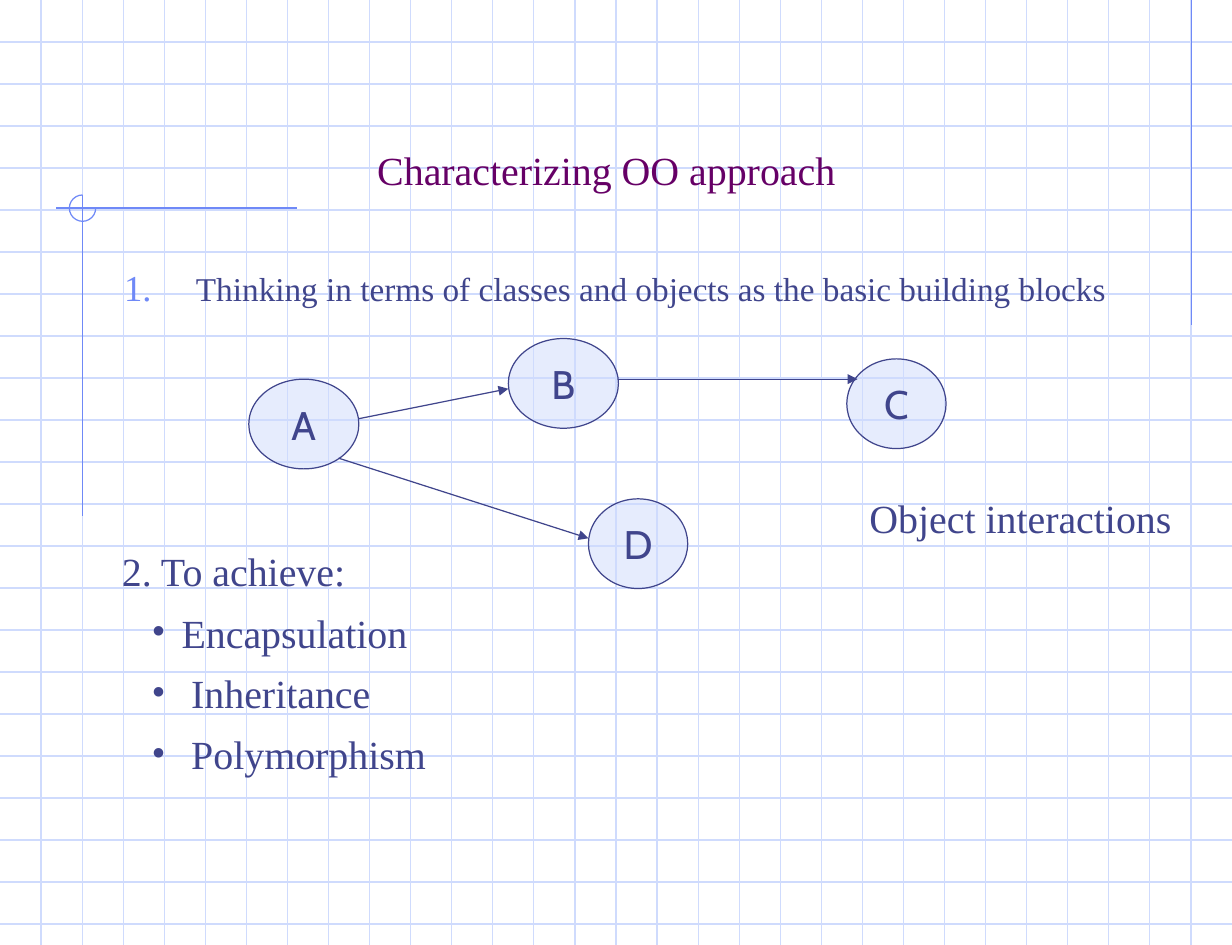
import pptx
import pptx.dml.color
import pptx.enum.shapes
import pptx.enum.text
import pptx.oxml
import pptx.oxml.ns
import pptx.util
from lxml import etree

Inches = pptx.util.Inches
Pt = pptx.util.Pt
RGBColor = pptx.dml.color.RGBColor
Align = pptx.enum.text.PP_ALIGN
Anchor = pptx.enum.text.MSO_ANCHOR
Preset = pptx.enum.shapes.MSO_SHAPE
qn = pptx.oxml.ns.qn

GRID = RGBColor(0xCF, 0xDB, 0xFD)
ACCENT = RGBColor(0x6F, 0x89, 0xF7)
INK = RGBColor(0x40, 0x45, 0x8C)
PLUM = RGBColor(0x66, 0x00, 0x66)

WIDTH, HEIGHT = 10.3, 7.9


class Sketch:
    """Draws on one slide with a shared style."""

    serif = "Times New Roman"
    sans = "Cabin"
    line_width = Pt(0.75)

    def __init__(self, slide):
        self.slide = slide
        self.shapes = slide.shapes

    def line(self, start, end, color, arrow=False):
        connector = self.shapes.add_connector(
            pptx.enum.shapes.MSO_CONNECTOR.STRAIGHT,
            *(Inches(v) for v in (*start, *end)))
        connector.line.color.rgb = color
        connector.line.width = self.line_width
        properties = connector._element.spPr
        if arrow:
            outline = properties.find(qn("a:ln"))
            etree.SubElement(outline, qn("a:tailEnd"), type="triangle")
        etree.SubElement(properties, qn("a:effectLst"))

    def arc(self, left, top, size, start, end, color):
        arc = self.shapes.add_shape(
            Preset.ARC, *(Inches(v) for v in (left, top, size, size)))
        # Angles are stored in 60000ths of a degree, scaled by 100000
        arc.adjustments[0] = start * 0.6
        arc.adjustments[1] = end * 0.6
        arc.shadow.inherit = False
        arc.fill.background()
        arc.line.color.rgb = color
        arc.line.width = self.line_width

    def style(self, paragraph, size, color, font):
        for run in paragraph.runs:
            run.font.size = Pt(size)
            run.font.name = font
            run.font.color.rgb = color

    def text(self, left, top, width, height, lines, size=24, color=INK,
             align=Align.LEFT, anchor=Anchor.TOP):
        box = self.shapes.add_textbox(
            *(Inches(v) for v in (left, top, width, height)))
        frame = box.text_frame
        frame.word_wrap = True
        frame.vertical_anchor = anchor
        frame.text = "\n".join(lines)
        for paragraph in frame.paragraphs:
            paragraph.alignment = align
            self.style(paragraph, size, color, self.serif)
        return frame.paragraphs

    def bullet(self, paragraph, margin, hanging, color, percent, kind, **mark):
        properties = paragraph._p.get_or_add_pPr()
        properties.set("marL", str(Inches(margin)))
        properties.set("indent", str(-Inches(hanging)))
        tint = etree.SubElement(properties, qn("a:buClr"))
        etree.SubElement(tint, qn("a:srgbClr"), val=str(color))
        etree.SubElement(properties, qn("a:buSzPct"), val=str(percent * 1000))
        etree.SubElement(properties, qn("a:buFont"), typeface=self.serif)
        etree.SubElement(properties, qn(kind), **mark)

    def node(self, name, left, top, width, height=0.75):
        node = self.shapes.add_shape(
            Preset.FLOWCHART_CONNECTOR,
            *(Inches(v) for v in (left, top, width, height)))
        node.shadow.inherit = False
        node.fill.solid()
        node.fill.fore_color.rgb = GRID
        tint = node._element.spPr.find(qn("a:solidFill")).find(qn("a:srgbClr"))
        etree.SubElement(tint, qn("a:alpha"), val="50000")
        node.line.color.rgb = INK
        node.line.width = self.line_width
        frame = node.text_frame
        frame.word_wrap = False
        frame.vertical_anchor = Anchor.MIDDLE
        frame.text = name
        frame.paragraphs[0].alignment = Align.CENTER
        self.style(frame.paragraphs[0], 24, INK, self.sans)


def main():
    deck = pptx.Presentation()
    deck.slide_width, deck.slide_height = Inches(WIDTH), Inches(HEIGHT)
    sketch = Sketch(deck.slides.add_slide(deck.slide_layouts[6]))

    # Graph paper
    for row in range(1, 23):
        y = row * HEIGHT / 22.5
        sketch.line((0, y), (WIDTH, y), GRID)
    for column in range(1, 30):
        x = column * WIDTH / 30
        sketch.line((x, 0), (x, HEIGHT), GRID)

    # Margin lines and three-quarter circle
    sketch.line((9.96, 0), (9.96, 2.72), ACCENT)
    sketch.line((2.48, 1.74), (0.47, 1.74), ACCENT)
    sketch.line((0.69, 1.63), (0.69, 4.31), ACCENT)
    sketch.arc(0.58, 1.63, 0.22, 0, 270, ACCENT)

    # Title and first point
    sketch.text(0.69, 0.83, 8.76, 0.84, ["Characterizing OO approach"],
                color=PLUM, align=Align.CENTER, anchor=Anchor.BOTTOM)
    thinking = sketch.text(
        0.94, 2.19, 8.97, 0.81,
        ["Thinking in terms of classes and objects as the basic building blocks"],
        size=20)
    sketch.bullet(thinking[0], 0.6, 0.6, ACCENT, 110,
                  "a:buAutoNum", type="arabicPeriod")

    # Second point with its goals
    goals = sketch.text(
        0.92, 4.52, 5.42, 2.03,
        ["2. To achieve:", "Encapsulation", "Inheritance", "Polymorphism"])[1:]
    for goal, shift in zip(goals, (0, 0.08, 0.08)):
        sketch.bullet(goal, 0.5 + shift, 0.25 + shift, INK, 100,
                      "a:buChar", char="•")
        goal.line_spacing = 0.75
        goal.space_before = Pt(15)

    # Interacting objects
    for name, left, top, width in (("A", 2.08, 3.17, 0.92),
                                   ("D", 4.92, 4.17, 0.83),
                                   ("C", 7.08, 3, 0.83),
                                   ("B", 4.25, 2.83, 0.92)):
        sketch.node(name, left, top, width)
    for start, end in (((3, 3.5), (4.25, 3.25)),
                       ((2.83, 3.83), (4.92, 4.5)),
                       ((5.17, 3.17), (7.17, 3.17))):
        sketch.line(start, end, INK, arrow=True)
    sketch.text(7.17, 4.08, 2.85, 0.5, ["Object interactions"])

    deck.save("out.pptx")


if __name__ == "__main__":
    main()
